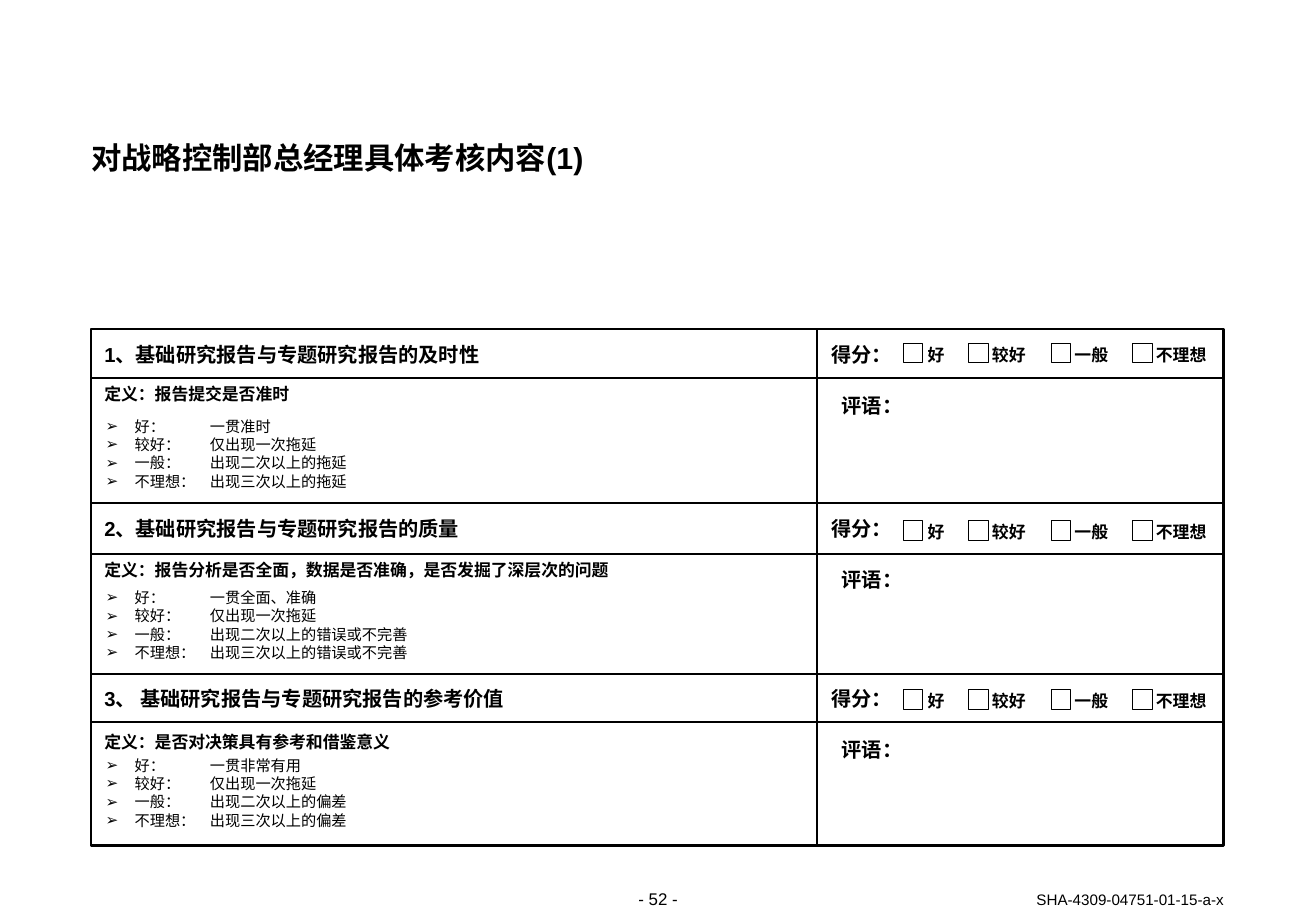
"""Build the appraisal form slide for the strategy control manager."""
from dataclasses import dataclass
from typing import Optional

from lxml.etree import SubElement
from pptx import Presentation
from pptx.dml.color import RGBColor
from pptx.enum.shapes import MSO_CONNECTOR, MSO_SHAPE
from pptx.enum.text import MSO_ANCHOR, MSO_AUTO_SIZE, PP_ALIGN
from pptx.oxml.ns import qn
from pptx.util import Inches, Length, Pt

BLACK = RGBColor(0, 0, 0)
WHITE = RGBColor(255, 255, 255)
FONT = "Arial"
WIDTH, HEIGHT = Inches(10.84), Inches(7.5)
LEFT, RIGHT, SPLIT = 6.92, 92.99, 62.08
TOP, BASE = 36.13, 92.8
INNER, SCORE = 7.93, 63.19
BOX_W, BOX_H, CHAR_W = 1.48, 2.13, 1.29


@dataclass(frozen=True)
class Style:
    size: float
    bold: bool = True
    align: PP_ALIGN = PP_ALIGN.LEFT
    anchor: MSO_ANCHOR = MSO_ANCHOR.TOP
    pitch: Optional[Length] = None
    wrap: bool = True
    grow: bool = True


@dataclass(frozen=True)
class Choice:
    label: str
    left: float
    gap: float = 1.75


@dataclass(frozen=True)
class Section:
    head: str
    note: str
    grades: tuple[str, ...]
    rule: float
    end: float
    head_y: float
    pick_y: float
    note_y: float
    list_y: float


TITLE = Style(18, pitch=Pt(20))
HEAD = Style(12)
NOTE = Style(10)
REMARK = Style(12, align=PP_ALIGN.CENTER, anchor=MSO_ANCHOR.MIDDLE, pitch=Pt(14), wrap=False)
PICK = Style(10, align=PP_ALIGN.CENTER, anchor=MSO_ANCHOR.MIDDLE, pitch=Pt(14), wrap=False)
GRADE = Style(9, bold=False)
PAGE = Style(10, bold=False, align=PP_ALIGN.CENTER)
CODE = Style(9, bold=False, align=PP_ALIGN.RIGHT, anchor=MSO_ANCHOR.BOTTOM,
             pitch=Pt(11), grow=False)

CHOICES = (Choice("好", 68.63, 1.85), Choice("较好", 73.62),
           Choice("一般", 79.89), Choice("不理想", 86.07))

SECTIONS = (
    Section("1、基础研究报告与专题研究报告的及时性", "定义：报告提交是否准时",
            ("一贯准时", "仅出现一次拖延", "出现二次以上的拖延", "出现三次以上的拖延"),
            41.53, 55.2, 37.6, 37.47, 42.13, 46),
    Section("2、基础研究报告与专题研究报告的质量",
            "定义：报告分析是否全面，数据是否准确，是否发掘了深层次的问题",
            ("一贯全面、准确", "仅出现一次拖延", "出现二次以上的错误或不完善",
             "出现三次以上的错误或不完善"),
            60.8, 74, 56.67, 56.93, 61.47, 64.8),
    Section("3、 基础研究报告与专题研究报告的参考价值", "定义：是否对决策具有参考和借鉴意义",
            ("一贯非常有用", "仅出现一次拖延", "出现二次以上的偏差", "出现三次以上的偏差"),
            79.27, BASE, 75.33, 75.47, 80.27, 83.2),
)


def across(share: float) -> int:
    return round(WIDTH * share / 100)


def down(share: float) -> int:
    return round(HEIGHT * share / 100)


def area(x: float, y: float, w: float, h: float) -> tuple[int, int, int, int]:
    return across(x), down(y), across(w), down(h)


def place(shape, x: float, y: float, w: float, h: float) -> None:
    shape.left, shape.top, shape.width, shape.height = area(x, y, w, h)


def setup(frame, style: Style) -> None:
    frame.margin_left = frame.margin_right = 0
    frame.margin_top = frame.margin_bottom = 0
    frame.vertical_anchor = style.anchor
    frame.word_wrap = style.wrap
    frame.auto_size = MSO_AUTO_SIZE.SHAPE_TO_FIT_TEXT if style.grow else MSO_AUTO_SIZE.NONE


def write(para, text: str, style: Style) -> None:
    para.alignment = style.align
    if style.pitch is not None:
        para.line_spacing = style.pitch
    run = para.add_run()
    run.text = text
    font = run.font
    font.name, font.size, font.bold = FONT, Pt(style.size), style.bold
    font.color.rgb = BLACK


def label(shapes, text: str, x: float, y: float, w: float, h: float, style: Style) -> None:
    frame = shapes.add_textbox(*area(x, y, w, h)).text_frame
    setup(frame, style)
    write(frame.paragraphs[0], text, style)


def rule(shapes, x: float, y: float, x2: float, y2: float, width: float) -> None:
    line = shapes.add_connector(MSO_CONNECTOR.STRAIGHT, across(x), down(y), across(x2), down(y2))
    line.line.color.rgb = BLACK
    line.line.width = Pt(width)
    SubElement(line.element.spPr, qn("a:effectLst"))


def square(shapes, x: float, y: float, w: float, h: float, width: float,
           fill: Optional[RGBColor] = None) -> None:
    shape = shapes.add_shape(MSO_SHAPE.RECTANGLE, *area(x, y, w, h))
    shape.shadow.inherit = False
    shape.line.color.rgb = BLACK
    shape.line.width = Pt(width)
    if fill is None:
        shape.fill.background()
    else:
        shape.fill.solid()
        shape.fill.fore_color.rgb = fill


def bullet(para) -> None:
    props = para._p.get_or_add_pPr()
    props.set("marL", str(Inches(0.25)))
    props.set("indent", str(Inches(-0.24)))
    color = SubElement(props, qn("a:buClr"))
    SubElement(color, qn("a:srgbClr"), val=str(BLACK))
    SubElement(props, qn("a:buFont"), typeface=FONT)
    SubElement(props, qn("a:buChar"), char="➢")
    tabs = SubElement(props, qn("a:tabLst"))
    SubElement(tabs, qn("a:tab"), pos=str(Inches(0.87)), algn="l")


def listing(body, part: Section) -> None:
    place(body, INNER, part.list_y, 53.14, 7.87)
    frame = body.text_frame
    setup(frame, GRADE)
    for num, (choice, grade) in enumerate(zip(CHOICES, part.grades)):
        para = frame.add_paragraph() if num else frame.paragraphs[0]
        para.level = 1
        para.line_spacing = 0.9
        para.space_before = Pt(1.1 if num else 0)
        bullet(para)
        write(para, f"{choice.label}：\t{grade}", GRADE)


def section(shapes, body, part: Section) -> None:
    label(shapes, part.head, INNER, part.head_y, 52.77, 2.67, HEAD)
    label(shapes, part.note, INNER, part.note_y, 52.95, 2.27, NOTE)
    listing(body, part)
    label(shapes, "得分：", SCORE, part.head_y, 5.07, 2.67, HEAD)
    label(shapes, "评语：", SCORE, part.head_y + 5.73, 4.61, 2.53, REMARK)
    group = shapes.add_group_shape().shapes
    for choice in CHOICES:
        square(group, choice.left, part.pick_y + 0.23, BOX_W, BOX_H, 0.5, WHITE)
        label(group, choice.label, choice.left + choice.gap, part.pick_y,
              CHAR_W * len(choice.label), 2.53, PICK)
    rule(shapes, LEFT, part.rule, RIGHT, part.rule, 1)
    if part.end < BASE:
        rule(shapes, LEFT, part.end, RIGHT, part.end, 1)


def main() -> None:
    deck = Presentation()
    deck.slide_width, deck.slide_height = WIDTH, HEIGHT
    slide = deck.slides.add_slide(deck.slide_layouts.get_by_name("Comparison"))
    shapes = slide.shapes
    title, *bodies = slide.placeholders
    place(title, LEFT, 15.6, 86.07, 3.73)
    setup(title.text_frame, TITLE)
    write(title.text_frame.paragraphs[0], "对战略控制部总经理具体考核内容(1)", TITLE)
    square(shapes, LEFT, TOP, RIGHT - LEFT, BASE - TOP, 1.5)
    rule(shapes, SPLIT, TOP, SPLIT, BASE, 1.5)
    for body, part in zip(bodies, SECTIONS):
        section(shapes, body, part)
    for spare in bodies[len(SECTIONS):]:
        spare.element.getparent().remove(spare.element)
    label(shapes, "- 52 -", 44.74, 97.6, 10.52, 2.27, PAGE)
    label(shapes, "SHA-4309-04751-01-15-a-x", 70.48, 97.73, 22.51, 2, CODE)
    deck.save("out.pptx")


if __name__ == "__main__":
    main()
